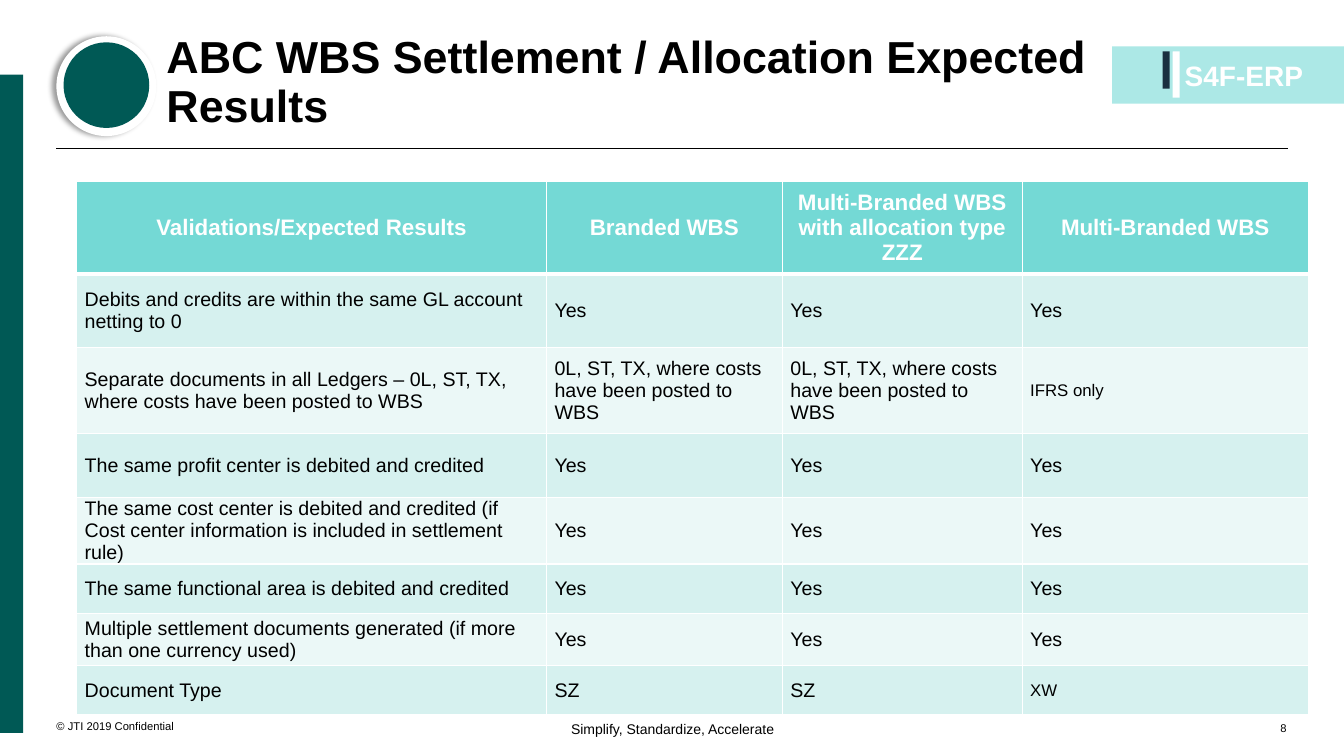
"""Build the WBS settlement results slide with its validation table."""
from lxml.etree import SubElement
from pptx import Presentation
from pptx.dml.color import RGBColor
from pptx.enum.shapes import MSO_CONNECTOR as Connector, MSO_SHAPE as Shape
from pptx.enum.text import MSO_ANCHOR as Anchor, MSO_AUTO_SIZE as AutoSize, PP_ALIGN as Align
from pptx.oxml import parse_xml
from pptx.oxml.ns import nsdecls, qn
from pptx.util import Inches, Pt

COLORS = {
    "black": "000000", "white": "FFFFFF", "teal": "005955", "mint": "ACE8E6",
    "navy": "1A3040", "header": "74D9D5", "odd": "D6F1EF", "even": "EBF8F7",
}
COLUMN_WIDTHS = [34.96, 17.55, 17.85, 21.3]
ROW_HEIGHTS = [12.27, 9.73, 11.33, 8.53, 6.93, 6.53, 6.93, 6.53]
LEDGERS = "0L, ST, TX, where costs have been posted to WBS"
ALL_YES = ["Yes"] * 3
RESULTS = [
    ["Validations/Expected Results", "Branded WBS",
     "Multi-Branded WBS with allocation type ZZZ", "Multi-Branded WBS"],
    ["Debits and credits are within the same GL account netting to 0", *ALL_YES],
    ["Separate documents in all Ledgers – 0L, ST, TX, where costs have been posted to WBS",
     LEDGERS, LEDGERS, "IFRS only"],
    ["The same profit center is debited and credited", *ALL_YES],
    ["The same cost center is debited and credited (if Cost center information "
     "is included in settlement rule)", *ALL_YES],
    ["The same functional area is debited and credited", *ALL_YES],
    ["Multiple settlement documents generated (if more than one currency used)", *ALL_YES],
    ["Document Type", "SZ", "SZ", "XW"],
]
SMALL_RESULTS = {"IFRS only", "XW"}


def apply(target, values):
    for name, value in values.items():
        setattr(target, name, value)


class SlideBuilder:
    """Hold the deck style and draw on one slide in percent of its size."""

    font_name = "Arial"

    def __init__(self):
        self.deck = Presentation()
        apply(self.deck, {"slide_width": Inches(13.33), "slide_height": Inches(7.5)})
        self.slide = self.deck.slides.add_slide(self.deck.slide_layouts[5])

    def x(self, percent):
        return round(self.deck.slide_width * percent / 100)

    def y(self, percent):
        return round(self.deck.slide_height * percent / 100)

    def area(self, left, top, width, height):
        return self.x(left), self.y(top), self.x(width), self.y(height)

    def color(self, name):
        return RGBColor.from_string(COLORS[name])

    def wording(self, frame, words, size, color="black", bold=False,
                align=Align.LEFT, spacing=1.0):
        frame.text = words
        paragraph = frame.paragraphs[0]
        apply(paragraph, {"alignment": align, "line_spacing": spacing})
        font = paragraph.runs[0].font
        apply(font, {"name": self.font_name, "size": Pt(size), "bold": bold})
        font.color.rgb = self.color(color)

    def trim(self, frame, anchor):
        apply(frame, {"word_wrap": True, "auto_size": AutoSize.NONE, "vertical_anchor": anchor,
                      "margin_left": 0, "margin_right": 0, "margin_top": 0, "margin_bottom": 0})

    def title(self, words, *box):
        heading = self.slide.shapes.title
        apply(heading, dict(zip(("left", "top", "width", "height"), self.area(*box))))
        self.trim(heading.text_frame, Anchor.BOTTOM)
        self.wording(heading.text_frame, words, 32, bold=True, spacing=0.9)

    def text(self, words, *box, size=8, anchor=Anchor.BOTTOM, **style):
        frame = self.slide.shapes.add_textbox(*self.area(*box)).text_frame
        self.trim(frame, anchor)
        self.wording(frame, words, size, **style)

    def shape(self, kind, color, *box):
        part = self.slide.shapes.add_shape(kind, *self.area(*box))
        part.shadow.inherit = False
        part.fill.solid()
        part.fill.fore_color.rgb = self.color(color)
        part.line.fill.background()
        return part

    def cast_shadow(self, part):
        effects = part._element.spPr.find(qn("a:effectLst"))
        effects.append(parse_xml(
            f'<a:outerShdw {nsdecls("a")} blurRad="{Pt(4)}" dist="{Pt(3)}" dir="10800000">'
            f'<a:srgbClr val="{COLORS["black"]}"><a:alpha val="40000"/></a:srgbClr>'
            '</a:outerShdw>'))

    def rule(self, left, right, top):
        divider = self.slide.shapes.add_connector(
            Connector.STRAIGHT, self.x(left), self.y(top), self.x(right), self.y(top))
        divider.line.width = Pt(0.75)
        divider.line.color.rgb = self.color("black")
        SubElement(divider._element.spPr, qn("a:effectLst"))

    def border(self, cell, top, bottom):
        sides = {"L": 1, "R": 1, "T": top, "B": bottom}
        for index, (side, width) in enumerate(sides.items()):
            cell._tc.get_or_add_tcPr().insert(index, parse_xml(
                f'<a:ln{side} {nsdecls("a")} w="{Pt(width)}"><a:solidFill>'
                f'<a:srgbClr val="{COLORS["white"]}"/></a:solidFill></a:ln{side}>'))

    def table(self, rows, widths, heights, left, top):
        box = self.area(left, top, sum(widths), sum(heights))
        grid = self.slide.shapes.add_table(len(rows), len(widths), *box).table
        for column, width in zip(grid.columns, widths):
            column.width = self.x(width)
        for number, (row, height, entries) in enumerate(zip(grid.rows, heights, rows)):
            row.height = self.y(height)
            for cell, words in zip(row.cells, entries):
                self.cell(cell, words, number)

    def cell(self, cell, words, number):
        is_header = number == 0
        side = 0 if is_header else self.x(0.6)
        apply(cell, {"vertical_anchor": Anchor.MIDDLE, "margin_left": side,
                     "margin_right": side, "margin_top": 0, "margin_bottom": 0})
        cell.fill.solid()
        band = "header" if is_header else ("even", "odd")[number % 2]
        cell.fill.fore_color.rgb = self.color(band)
        self.border(cell, 3 if number == 1 else 1, 3 if is_header else 1)
        if is_header:
            self.wording(cell.text_frame, words, 16, "white", True, Align.CENTER)
        else:
            self.wording(cell.text_frame, words, 12 if words in SMALL_RESULTS else 14)


def main():
    page = SlideBuilder()
    page.text("© JTI 2019 Confidential", 4.2, 91.6, 14.8, 5.33)
    page.rule(4.2, 95.8, 19.6)
    page.text("Simplify, Standardize, Accelerate", 38.56, 95.33, 22.96, 4,
              size=10, anchor=Anchor.TOP, align=Align.CENTER)
    page.shape(Shape.RECTANGLE, "mint", 82.75, 6.13, 17.25, 7.6)
    page.shape(Shape.RECTANGLE, "navy", 86.5, 6.8, 0.53, 4.93)
    light_bar = page.shape(Shape.ROUNDED_RECTANGLE, "white", 87.25, 6.8, 0.53, 6.13)
    light_bar.adjustments[0] = 0.07
    page.text("S4F-ERP", 88.15, 7.73, 9.38, 6.67,
              size=20, anchor=Anchor.TOP, color="white", bold=True)
    page.shape(Shape.RECTANGLE, "teal", 0, 9.87, 1.73, 87.07)
    page.cast_shadow(page.shape(Shape.OVAL, "white", 4.2, 4.8, 7.43, 13.2))
    page.shape(Shape.OVAL, "teal", 4.73, 5.6, 6.38, 11.33)
    page.title("ABC WBS Settlement / Allocation Expected Results", 12.38, 3.07, 80, 14.4)
    page.text("8", 92.5, 91.87, 3.23, 5.33, align=Align.RIGHT)
    page.table(RESULTS, COLUMN_WIDTHS, ROW_HEIGHTS, 5.7, 24)
    page.deck.save("out.pptx")


if __name__ == "__main__":
    main()
